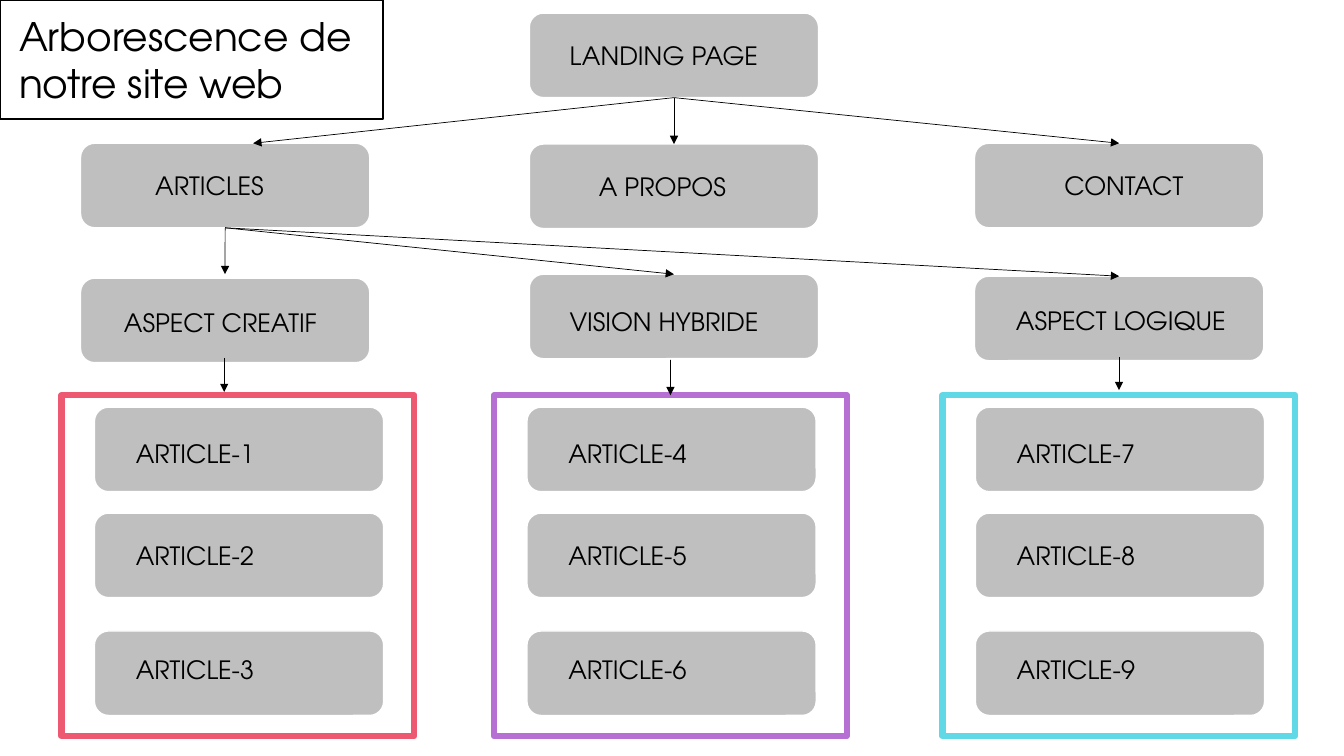
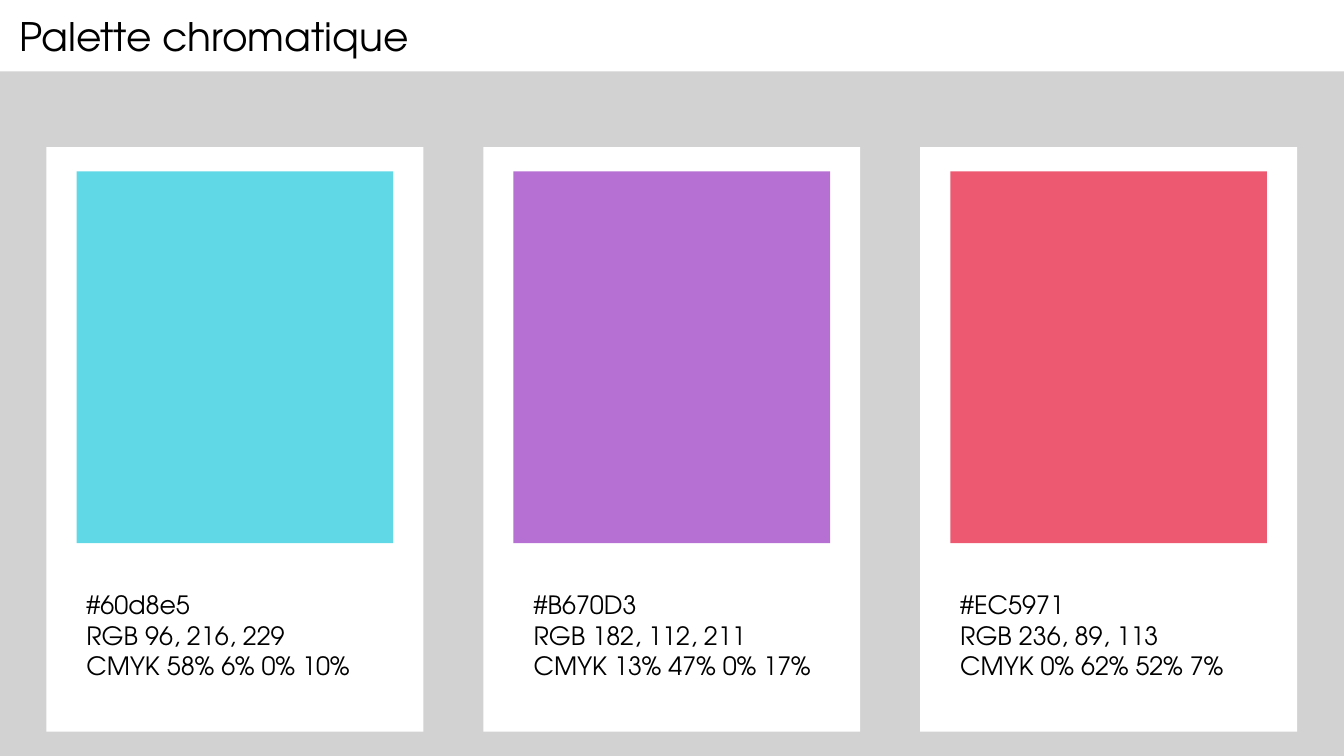
from dataclasses import dataclass
from typing import Any, Optional

import lxml.etree
import pptx
import pptx.dml.color
import pptx.enum.shapes
import pptx.enum.text
import pptx.oxml.ns
import pptx.util

Cm = pptx.util.Cm
Pt = pptx.util.Pt
Kind = pptx.enum.shapes.MSO_SHAPE
Anchor = pptx.enum.text.MSO_ANCHOR

WIDTH, HEIGHT = 33.87, 19.05
FONT = "TeX Gyre Adventor"
HUES = {
    "black": "000000",
    "white": "FFFFFF",
    "box": "BFBFBF",
    "band": "D2D2D2",
    "cyan": "60D8E5",
    "purple": "B670D3",
    "red": "EC5971",
}
TOP, BOTTOM = 0, 2
BOX_W, BOX_H = 7.29, 2.13
COLS = (2.03, 13.34, 24.56)


@dataclass(frozen=True)
class Node:
    """A labelled box; drop lowers its text from the middle."""
    text: str
    left: float
    top: float
    inset: float
    drop: float = 0


@dataclass(frozen=True)
class Group:
    hue: str
    left: float
    first: int


@dataclass(frozen=True)
class Card:
    hue: str
    lines: tuple[str, ...]
    inset: float


NODES = (
    Node("LANDING PAGE", COLS[1], 0.33, 0.91),
    Node("ARTICLES", COLS[0], 3.61, 1.78),
    Node("A PROPOS", COLS[1], 3.63, 1.65),
    Node("CONTACT", COLS[2], 3.61, 2.16),
    Node("ASPECT CREATIF", COLS[0], 7.01, 0.99, 0.05),
    Node("VISION HYBRIDE", COLS[1], 6.91, 0.91, 0.12),
    Node("ASPECT LOGIQUE", COLS[2], 6.96, 0.94, 0.05),
)
GROUPS = (
    Group("red", 1.55, 1),
    Group("purple", 12.45, 4),
    Group("cyan", 23.75, 7),
)
ROWS = ((10.26, 0.1), (12.93, 0), (15.9, -0.1))
CARDS = (
    Card("cyan", ("#60d8e5", "RGB 96, 216, 229", "CMYK 58% 6% 0% 10%"), 0.76),
    Card("purple", ("#B670D3", "RGB 182, 112, 211", "CMYK 13% 47% 0% 17%"), 1.02),
    Card("red", ("#EC5971", "RGB 236, 89, 113", "CMYK 0% 62% 52% 7%"), 0.76),
)


def tint(name: str) -> pptx.dml.color.RGBColor:
    return pptx.dml.color.RGBColor.from_string(HUES[name])


def block(slide: Any, left: float, top: float, width: float, height: float,
          fill: Optional[str] = None, line: Optional[str] = None,
          thick: float = 1, kind: Any = Kind.RECTANGLE) -> Any:
    shape = slide.shapes.add_shape(kind, Cm(left), Cm(top), Cm(width), Cm(height))
    shape.shadow.inherit = False
    if fill:
        shape.fill.solid()
        shape.fill.fore_color.rgb = tint(fill)
    else:
        shape.fill.background()
    if line:
        shape.line.color.rgb = tint(line)
        shape.line.width = Pt(thick)
    else:
        shape.line.fill.background()
    return shape


def write(shape: Any, lines: tuple[str, ...], size: float, left: float,
          top: float = 0, right: float = 0, bottom: float = 0,
          anchor: Any = Anchor.TOP) -> None:
    """Fill a shape with left-aligned lines; the lengths are its insets."""
    frame = shape.text_frame
    frame.word_wrap = True
    frame.vertical_anchor = anchor
    frame.margin_left, frame.margin_top = Cm(left), Cm(top)
    frame.margin_right, frame.margin_bottom = Cm(right), Cm(bottom)
    for i, line in enumerate(lines):
        para = frame.paragraphs[0] if i == 0 else frame.add_paragraph()
        para.text = line
        para.alignment = pptx.enum.text.PP_ALIGN.LEFT
        para.font.name = FONT
        para.font.size = Pt(size)
        para.font.color.rgb = tint("black")


def title(slide: Any, text: str, width: float, height: float,
          line: Optional[str] = None) -> None:
    shape = block(slide, 0, 0, width, height, line=line)
    write(shape, (text,), 28, left=0.48, top=0.3, right=0.25)


def draw(slide: Any, node: Node) -> Any:
    shape = block(slide, node.left, node.top, BOX_W, BOX_H, "box", "white",
                  kind=Kind.ROUNDED_RECTANGLE)
    write(shape, (node.text,), 18, left=node.inset, top=max(2 * node.drop, 0),
          bottom=max(-2 * node.drop, 0), anchor=Anchor.MIDDLE)
    return shape


def arrow(slide: Any, start: Any, end: Any) -> None:
    """Link two ends, each a point in cm or a box (left at its bottom, met at its top)."""
    link = slide.shapes.add_connector(
        pptx.enum.shapes.MSO_CONNECTOR.STRAIGHT,
        *(Cm(x) for end_at in (start, end)
          for x in (end_at if isinstance(end_at, tuple) else (0, 0))))
    if not isinstance(start, tuple):
        link.begin_connect(start, BOTTOM)
    if not isinstance(end, tuple):
        link.end_connect(end, TOP)
    link.line.color.rgb = tint("black")
    link.line.width = Pt(0.5)
    name = pptx.oxml.ns.qn
    tip = lxml.etree.SubElement(link.line._get_or_add_ln(), name("a:tailEnd"))
    tip.set("type", "triangle")
    lxml.etree.SubElement(link._element.spPr, name("a:effectLst"))


def tree(slide: Any) -> None:
    home, posts, about, contact, art, hybrid, logic = (
        draw(slide, node) for node in NODES)
    frames = []
    for group in GROUPS:
        for i, (top, drop) in enumerate(ROWS):
            text = f"ARTICLE-{group.first + i}"
            draw(slide, Node(text, group.left + 0.83, top, 0.94, drop))
        frames.append(block(slide, group.left, 9.96, 8.89, 8.59,
                            line=group.hue, thick=4.5))
    links = (
        (home, (6.38, 3.61)),
        (home, about),
        (home, contact),
        (posts, (5.67, 6.91)),
        (posts, hybrid),
        (posts, logic),
        ((5.65, 9.02), (5.65, 9.88)),
        ((16.9, 9.07), frames[1]),
        ((28.2, 8.99), (28.2, 9.83)),
    )
    for start, end in links:
        arrow(slide, start, end)
    title(slide, "Arborescence de notre site web", 9.65, 3, "black")


def palette(slide: Any) -> None:
    block(slide, 0, 1.8, WIDTH, HEIGHT - 1.8, "band")
    for i, card in enumerate(CARDS):
        left = 1.17 + 11.01 * i
        block(slide, left, 3.71, 9.5, 14.73, "white")
        block(slide, left + 0.76, 4.32, 7.98, 9.37, card.hue)
        label = slide.shapes.add_textbox(
            Cm(left + card.inset), Cm(14.73), Cm(7.72), Cm(2.57))
        write(label, card.lines, 18, left=0.25, top=0.13, right=0.25, bottom=0.13)
    title(slide, "Palette chromatique", 12, 1.8)


def main() -> None:
    deck = pptx.Presentation()
    deck.slide_width, deck.slide_height = Cm(WIDTH), Cm(HEIGHT)
    for fill in (tree, palette):
        fill(deck.slides.add_slide(deck.slide_layouts[6]))
    deck.save("out.pptx")


if __name__ == "__main__":
    main()
